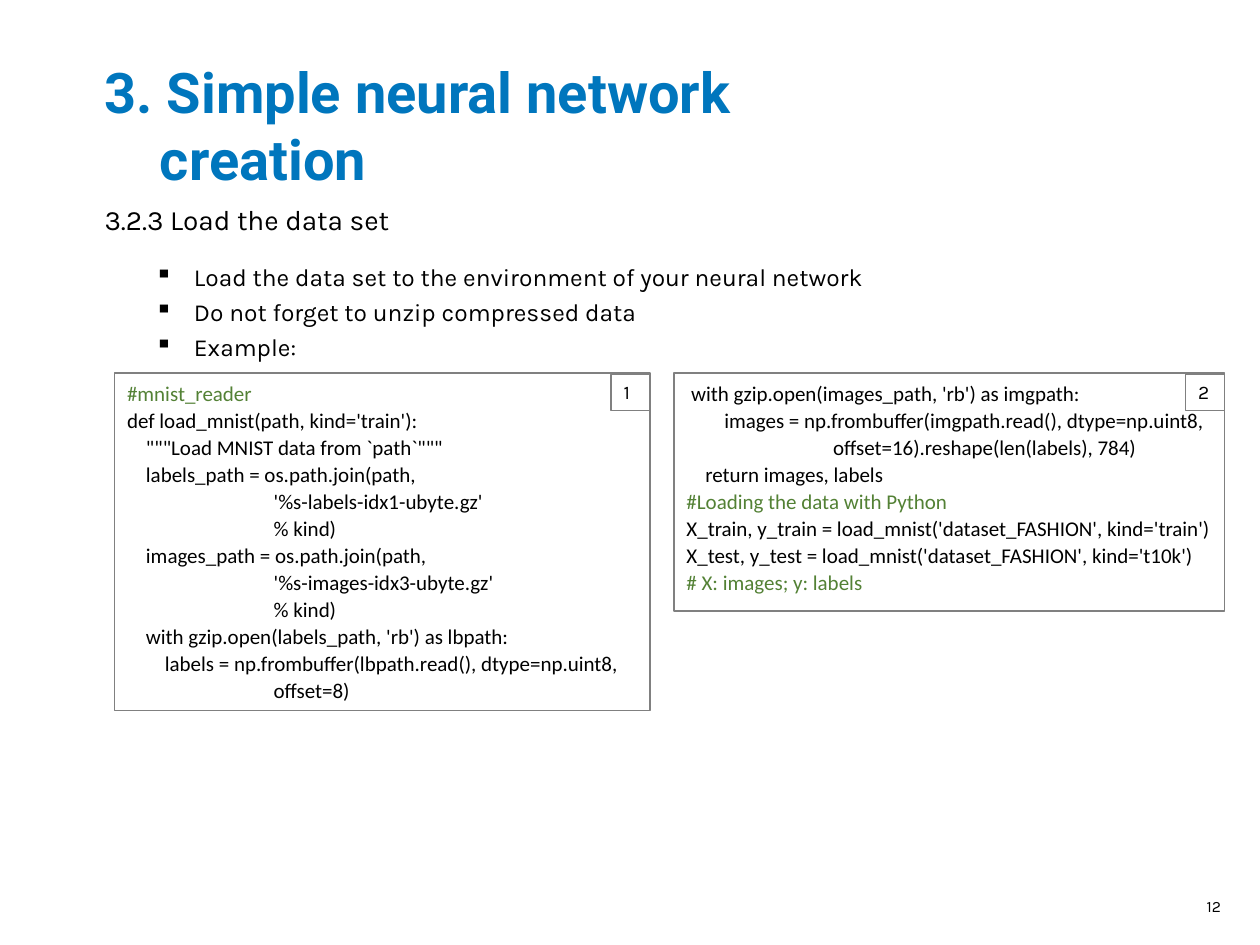
from pptx import Presentation
from pptx.util import Inches, Pt
from pptx.dml.color import RGBColor
from pptx.enum.shapes import MSO_SHAPE as Kind
from pptx.enum.text import MSO_ANCHOR as Anchor, PP_ALIGN as Align
from lxml.etree import SubElement
from pptx.oxml.ns import qn

BLACK, GREEN, BLUE, GRAY = "000000", "538135", "0076BD", "808080"


def style(para, name, size, color, bold=False):
    font = para.font
    font.name, font.size, font.bold = name, Pt(size), bold
    font.color.rgb = RGBColor.from_string(color)


def frame(left, top, width, height, boxed=False):
    place = [Inches(n) for n in (left, top, width, height)]
    if boxed:
        shape = slide.shapes.add_shape(Kind.RECTANGLE, *place)
        shape.shadow.inherit = False
        shape.fill.background()
        shape.line.color.rgb = RGBColor.from_string(GRAY)
        shape.line.width = Pt(0.75)
    else:
        shape = slide.shapes.add_textbox(*place)
    text = shape.text_frame
    text.word_wrap = True
    text.vertical_anchor = Anchor.TOP
    if not boxed:
        text.margin_left = text.margin_right = 0
        text.margin_top = text.margin_bottom = 0
    return text


deck = Presentation()
deck.slide_width, deck.slide_height = Inches(10), Inches(7.5)
slide = deck.slides.add_slide(deck.slide_layouts[6])

page = frame(9.25, 7.1, 0.44, 0.25).paragraphs[0]
page.text = "12"
page.alignment = Align.RIGHT
page.line_spacing = 1.1
style(page, "Karla", 9, BLACK)

head = frame(0.83, 0.44, 8.43, 1.1)
head.vertical_anchor = Anchor.MIDDLE
title = head.paragraphs[0]
title.text = "3. Simple neural network\vcreation"
props = title._p.get_or_add_pPr()
props.set("marL", str(Inches(0.44)))
props.set("indent", str(Inches(-0.44)))
style(title, "Roboto", 32, BLUE, True)

body = frame(0.83, 1.58, 8.43, 5.17)
intro = body.paragraphs[0]
intro.text = "3.2.3 Load the data set"
intro.line_spacing = 1.1
intro.space_after = Pt(12)
style(intro, "Karla", 16, BLACK)

points = [
    "Load the data set to the environment of your neural network",
    "Do not forget to unzip compressed data",
    "Example:",
]
for point in points:
    para = body.add_paragraph()
    para.text = point
    para.level = 1
    para.space_before = Pt(3)
    props = para._p.get_or_add_pPr()
    props.set("marL", str(Inches(0.71)))
    props.set("indent", str(Inches(-0.31)))
    SubElement(props, qn("a:buChar"), char="▪")
    style(para, "Karla", 14, BLACK)

first = '''#mnist_reader
def load_mnist(path, kind='train'):
    """Load MNIST data from `path`"""
    labels_path = os.path.join(path,
                               '%s-labels-idx1-ubyte.gz'
                               % kind)
    images_path = os.path.join(path,
                               '%s-images-idx3-ubyte.gz'
                               % kind)
    with gzip.open(labels_path, 'rb') as lbpath:
        labels = np.frombuffer(lbpath.read(), dtype=np.uint8,
                               offset=8)'''

second = ''' with gzip.open(images_path, 'rb') as imgpath:
        images = np.frombuffer(imgpath.read(), dtype=np.uint8,
                               offset=16).reshape(len(labels), 784)
    return images, labels
#Loading the data with Python
X_train, y_train = load_mnist('dataset_FASHION', kind='train')
X_test, y_test = load_mnist('dataset_FASHION', kind='t10k')
# X: images; y: labels'''

panels = [("1", first, 0.91, 4.25, 2.68), ("2", second, 5.35, 4.37, 1.89)]
for label, code, left, width, height in panels:
    text = frame(left, 2.96, width, height, True)
    text.text = code
    for para in text.paragraphs:
        para.alignment = Align.LEFT
        para.line_spacing = 1.07
        style(para, "Calibri", 12, GREEN if para.text.startswith("#") else BLACK)

    tag = frame(left + width - 0.31, 2.97, 0.31, 0.29, True).paragraphs[0]
    tag.text = label
    tag.alignment = Align.LEFT
    style(tag, "Karla", 11, BLACK)

deck.save("out.pptx")
